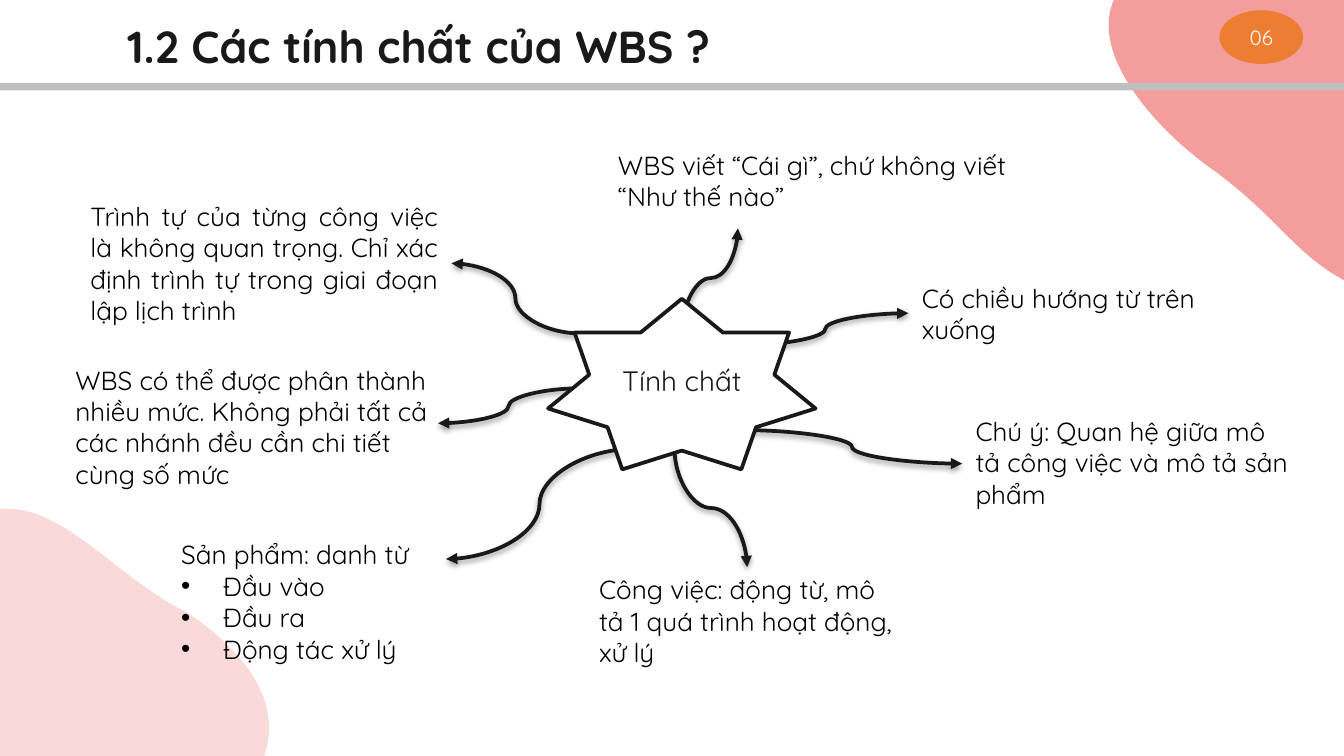
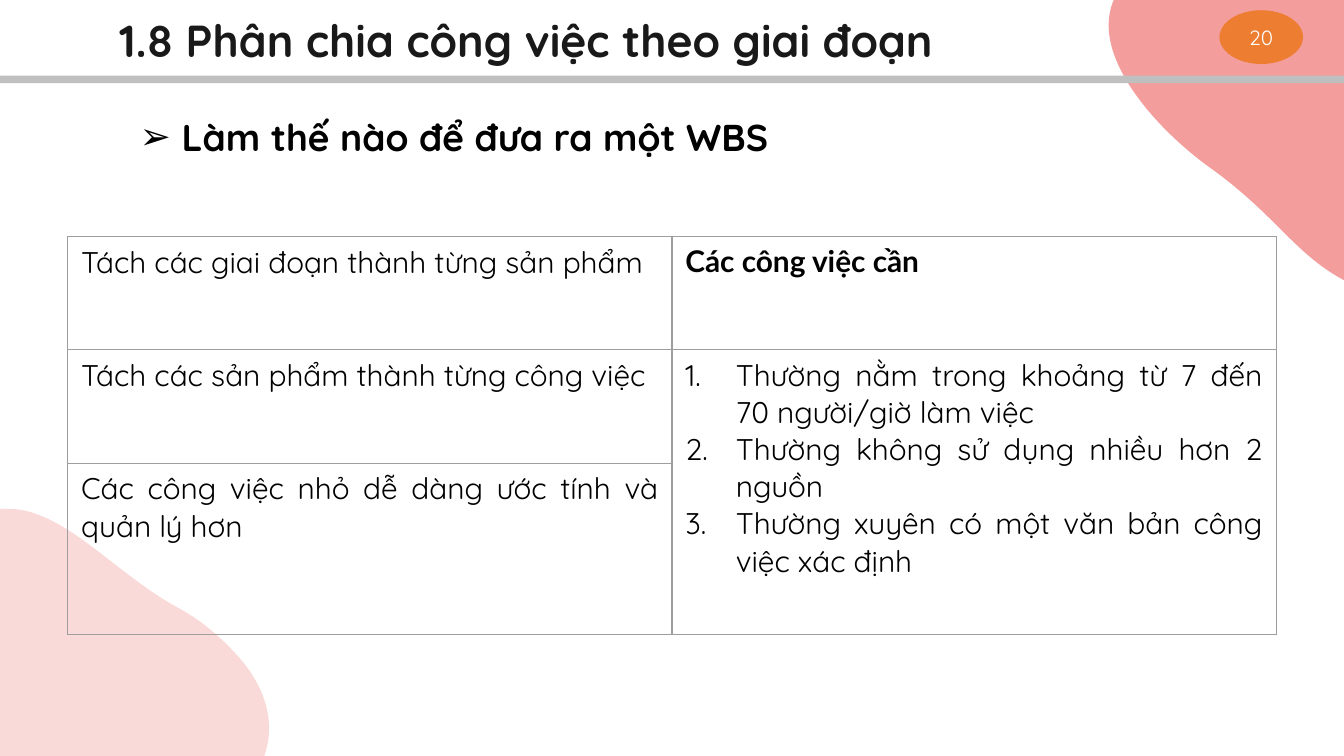
from lxml.etree import SubElement
from pptx import Presentation
from pptx.dml.color import RGBColor
from pptx.enum.shapes import MSO_CONNECTOR, MSO_SHAPE
from pptx.enum.text import MSO_ANCHOR, PP_ALIGN
from pptx.oxml.ns import qn
from pptx.util import Pt

INK = RGBColor(0x19, 0x19, 0x19)
BLACK = RGBColor(0, 0, 0)
WHITE = RGBColor(0xFF, 0xFF, 0xFF)
GREY = RGBColor(0xBF, 0xBF, 0xBF)
BORDER = RGBColor(0x9E, 0x9E, 0x9E)
ORANGE = RGBColor(0xED, 0x7D, 0x31)
CORAL = RGBColor(0xE9, 0x44, 0x44)

TITLE = {"name": "Quicksand", "size": Pt(24), "bold": True, "color": INK}
HEADING = {"name": "Quicksand", "size": Pt(20), "bold": True, "color": BLACK}
NOTE = {"name": "Quicksand", "size": Pt(14), "color": BLACK}
HUB = {"name": "Quicksand", "size": Pt(15), "color": INK}
BADGE = {"name": "Quicksand", "size": Pt(11), "color": WHITE}
CELL = {"name": "Quicksand", "size": Pt(16), "color": BLACK}
CELL_HEAD = {"name": "Lato", "size": Pt(16), "bold": True, "color": BLACK}

DOT = ("buChar", {"char": "•"}, 22.5)
ARROW = ("buChar", {"char": "➢"}, 22.5)
NUMBER = ("buAutoNum", {"type": "arabicPeriod"}, 27)

LOWER_BLOB = [
    (-3.6, 415.4),
    (-13, 404.6), (-21.6, 391), (-30.2, 373),
    (-30.2, 373), (-43.9, 338.4), (-41, 312.5),
    (-38.2, 285.8), (-18.7, 270), (9.4, 272.9),
    (37.4, 276.5), (63.4, 308.2), (95, 325.4),
    (107.3, 331.9), (117.4, 340.6), (126, 349.9),
    (140.4, 365), (147.6, 383.8), (142.6, 401.8),
    (134.6, 430.6), (111.6, 419), (87.1, 434.9),
    (67.7, 447.8), (29.5, 451.4), (-3.6, 415.4),
]
UPPER_BLOB = [
    (599, -4.3),
    (604.1, -13), (614.2, -20.2), (630, -25.9),
    (630, -25.9), (662.4, -34.6), (698.4, -26.6),
    (734.4, -18.7), (771.1, 5.8), (790.6, 36),
    (810.7, 67), (791.3, 88.6), (796.3, 120.2),
    (798.5, 131.8), (797, 142.6), (792, 149.8),
    (784.1, 162), (766.8, 167), (739.4, 158.4),
    (696.2, 144), (691.2, 121), (649.4, 90.7),
    (617, 67.7), (580.3, 25.2), (599, -4.3),
]


def points(*values):
    """Convert numbers to point lengths."""
    return [Pt(value) for value in values]


def add_child(parent, tag, **attributes):
    """Append a DrawingML element."""
    return SubElement(parent, qn(f"a:{tag}"), {key: str(value) for key, value in attributes.items()})


def format_font(font, formats):
    """Apply a dict of format values to a font."""
    for key, value in formats.items():
        if key == "color":
            font.color.rgb = value
        else:
            setattr(font, key, value)


def write_line(paragraph, wording, formats, align=PP_ALIGN.LEFT, bullet=None):
    """Write one paragraph with an optional bullet."""
    paragraph.alignment = align
    if bullet:
        tag, attributes, indent = bullet
        properties = paragraph._p.get_or_add_pPr()
        properties.set("marL", str(Pt(indent)))
        properties.set("indent", str(-Pt(indent)))
        add_child(add_child(properties, "buClr"), "srgbClr", val=BLACK)
        if tag == "buChar":
            add_child(properties, "buFont", typeface="Arial")
        add_child(properties, tag, **attributes)
    run = paragraph.add_run()
    run.text = wording
    format_font(run.font, formats)


def write_lines(frame, lines, formats, align=PP_ALIGN.LEFT):
    """Fill a text frame with (wording, bullet) lines."""
    for index, (wording, bullet) in enumerate(lines):
        paragraph = frame.add_paragraph() if index else frame.paragraphs[0]
        write_line(paragraph, wording, formats, align, bullet)


def add_text(slide, place, lines, formats, align=PP_ALIGN.LEFT):
    """Add a wrapping text box."""
    frame = slide.shapes.add_textbox(*points(*place)).text_frame
    frame.word_wrap = True
    write_lines(frame, lines, formats, align)


def add_figure(slide, kind, place, fill, outline=None, wording=None, formats=None):
    """Add a preset shape with an optional outline and centred label."""
    figure = slide.shapes.add_shape(kind, *points(*place))
    figure.shadow.inherit = False
    figure.fill.solid()
    figure.fill.fore_color.rgb = fill
    if outline:
        figure.line.color.rgb = outline
        figure.line.width = Pt(2)
    else:
        figure.line.fill.background()
    if wording:
        figure.text_frame.vertical_anchor = MSO_ANCHOR.MIDDLE
        write_line(figure.text_frame.paragraphs[0], wording, formats, PP_ALIGN.CENTER)


def bend_outline(outline):
    """Turn each three line segments into one cubic curve."""
    segments = outline.findall(qn("a:lnTo"))
    close = outline.find(qn("a:close"))
    for first in range(0, len(segments), 3):
        curve = add_child(outline, "cubicBezTo")
        for segment in segments[first:first + 3]:
            curve.append(segment[0])
            outline.remove(segment)
    outline.append(close)


def add_blob(slide, knots, opacity):
    """Add a translucent curved background patch."""
    builder = slide.shapes.build_freeform(*points(*knots[0]))
    builder.add_line_segments([points(*knot) for knot in knots[1:]], close=True)
    blob = builder.convert_to_shape()
    blob.shadow.inherit = False
    blob.fill.solid()
    blob.fill.fore_color.rgb = CORAL
    blob.line.fill.background()
    properties = blob._element.spPr
    bend_outline(next(properties.iter(qn("a:path"))))
    color = properties.find(qn("a:solidFill")).find(qn("a:srgbClr"))
    add_child(color, "alpha", val=opacity * 1000)


def add_branch(slide, start, end, vertical=False):
    """Add a curved arrow, leaving the hub sideways or vertically."""
    if vertical:
        mid_x, mid_y = ((a + b) / 2 for a, b in zip(start, end))
        start, end = ((mid_x + y - mid_y, mid_y - x + mid_x) for x, y in (start, end))
    branch = slide.shapes.add_connector(MSO_CONNECTOR.CURVE, *points(*start, *end))
    branch.line.color.rgb = INK
    branch.line.width = Pt(2)
    properties = branch._element.spPr
    if vertical:
        properties.find(qn("a:xfrm")).set("rot", str(90 * 60000))
    add_child(properties.find(qn("a:ln")), "tailEnd", type="triangle")
    shadow = add_child(add_child(properties, "effectLst"), "outerShdw",
                       blurRad=Pt(3.1), dist=Pt(1.6), dir=90 * 60000, rotWithShape=0)
    add_child(add_child(shadow, "srgbClr", val=BLACK), "alpha", val=38000)


def format_cell(cell):
    """Give a table cell thin borders and no fill."""
    properties = cell._tc.get_or_add_tcPr()
    for side in ("lnL", "lnR", "lnT", "lnB"):
        border = add_child(properties, side, w=Pt(0.75))
        add_child(add_child(border, "solidFill"), "srgbClr", val=BORDER)
    cell.fill.background()


def add_stage_table(slide):
    """Add the table of stages and task requirements."""
    heights = (60.5, 61, 91.6)
    table = slide.shapes.add_table(3, 2, *points(36.3, 126.8, 647.4, sum(heights))).table
    table.first_row = table.horz_banding = False
    for column in table.columns:
        column.width = Pt(323.7)
    for row, height in zip(table.rows, heights):
        row.height = Pt(height)
    for cell in table.iter_cells():
        format_cell(cell)
    table.cell(1, 1).merge(table.cell(2, 1))
    stages = (
        "Tách các giai đoạn thành từng sản phẩm",
        "Tách các sản phẩm thành từng công việc",
        "Các công việc nhỏ dễ dàng ước tính và quản lý hơn",
    )
    requirements = (
        "Thường nằm trong khoảng từ 7 đến 70 người/giờ làm việc",
        "Thường không sử dụng nhiều hơn 2 nguồn",
        "Thường xuyên có một văn bản công việc xác định",
    )
    contents = {(row, 0): ([(stage, None)], CELL) for row, stage in enumerate(stages)}
    contents[0, 1] = ([("Các công việc cần", None)], CELL_HEAD)
    contents[1, 1] = ([(wording, NUMBER) for wording in requirements], CELL)
    for position, (lines, formats) in contents.items():
        write_lines(table.cell(*position).text_frame, lines, formats, PP_ALIGN.JUSTIFY)


def add_page(deck, title, number, title_place, band_top):
    """Add a slide with the shared background, band, badge and title."""
    slide = deck.slides.add_slide(deck.slide_layouts[6])
    add_blob(slide, LOWER_BLOB, 20)
    add_blob(slide, UPPER_BLOB, 52)
    add_figure(slide, MSO_SHAPE.RECTANGLE, (0, band_top, 720, 4), GREY)
    add_figure(slide, MSO_SHAPE.OVAL, (653.3, 5.5, 44.8, 28.8), ORANGE, None, number, BADGE)
    add_text(slide, (*title_place, 465, 36), [(title, None)], TITLE)
    return slide


def add_properties_page(deck):
    """Add the mind map of WBS properties."""
    slide = add_page(deck, "1.2 Các tính chất của WBS ?", "06", (61.2, 6.5), 44.4)
    for start, end, vertical in (
        ((310.3, 208.1), (234.7, 226.8), False),
        ((310.3, 178.6), (241.9, 141.1), False),
        ((339.1, 240.5), (239, 299.5), False),
        ((361.4, 240.5), (400.3, 303.8), True),
        ((365.8, 175.7), (395.3, 122.4), True),
        ((397.4, 185), (486.7, 167.8), False),
        ((397.4, 230.4), (515.5, 248.4), False),
    ):
        add_branch(slide, start, end, vertical)
    notes = (
        ((324, 76.3, 225.4, 41), "WBS viết “Cái gì”, chứ không viết “Như thế nào”"),
        ((486.7, 147.6, 162, 41), "Có chiều hướng từ trên xuống"),
        ((515.5, 218.9, 186.5, 58.3), "Chú ý: Quan hệ giữa mô tả công việc và mô tả sản phẩm"),
        ((313.9, 303.8, 172.8, 58.3), "Công việc: động từ, mô tả 1 quá trình hoạt động, xử lý"),
        ((33.3, 191.5, 213.8, 74.9),
         "WBS có thể được phân thành nhiều mức. Không phải tất cả các nhánh đều cần chi tiết cùng số mức"),
    )
    for place, wording in notes:
        add_text(slide, place, [(wording, None)], NOTE)
    order = ("Trình tự của từng công việc là không quan trọng. "
             "Chỉ xác định trình tự trong giai đoạn lập lịch trình")
    add_text(slide, (41.3, 103.7, 200.7, 74.9), [(order, None)], NOTE, PP_ALIGN.JUSTIFY)
    products = [("Sản phẩm: danh từ", None)]
    products += [(wording, DOT) for wording in ("Đầu vào", "Đầu ra", "Động tác xử lý")]
    add_text(slide, (90, 285.1, 177.1, 74.9), products, NOTE)
    add_figure(slide, MSO_SHAPE.STAR_7_POINT, (293.6, 160.1, 143.3, 91.4), WHITE, INK, "Tính chất", HUB)


def add_stages_page(deck):
    """Add the slide on splitting work by stage."""
    slide = add_page(deck, "1.8 Phân chia công việc theo giai đoạn", "20", (56.9, 3.2), 40.5)
    add_text(slide, (67.7, 57.6, 454.3, 31.7), [("Làm thế nào để đưa ra một WBS", ARROW)], HEADING)
    add_stage_table(slide)


def main():
    """Build and save the deck."""
    deck = Presentation()
    deck.slide_width, deck.slide_height = points(720, 405)
    add_properties_page(deck)
    add_stages_page(deck)
    deck.save("out.pptx")


if __name__ == "__main__":
    main()
